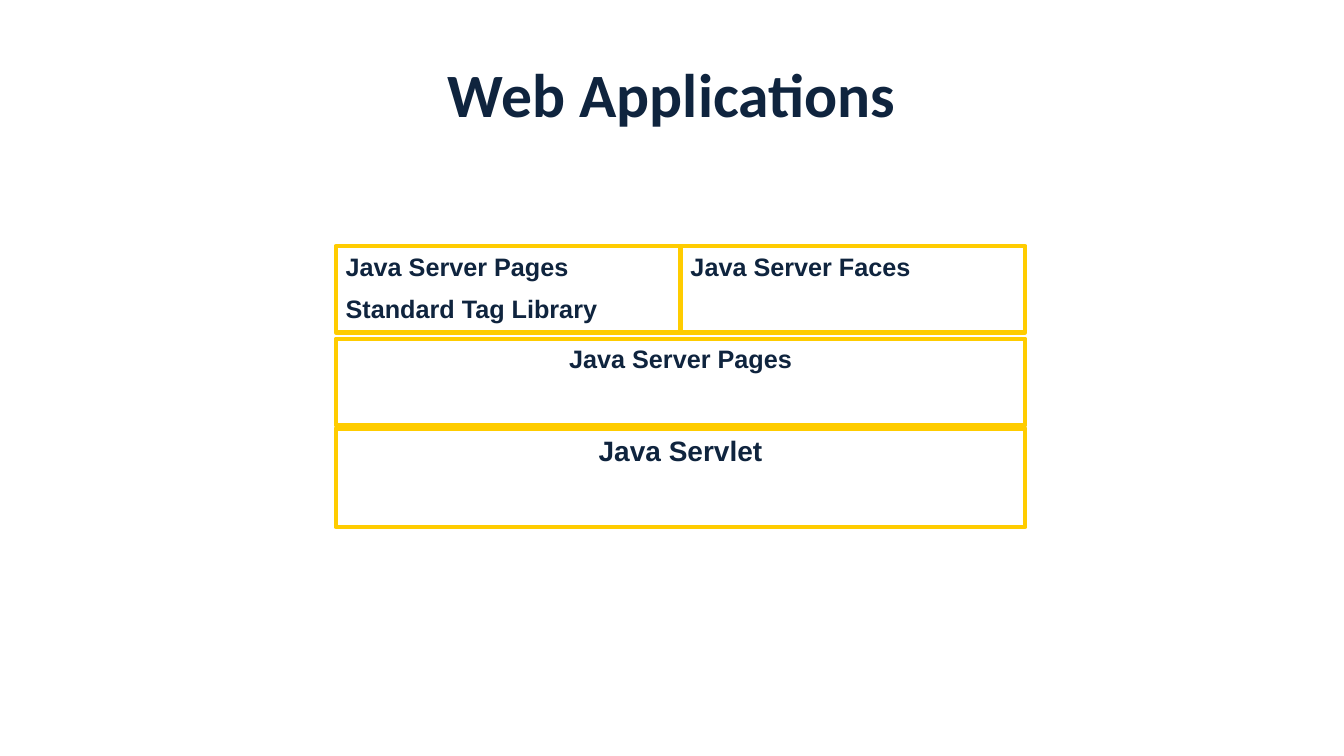
from dataclasses import dataclass
from typing import Any

from pptx import Presentation
from pptx.dml.color import RGBColor
from pptx.enum.shapes import MSO_SHAPE
from pptx.enum.text import MSO_ANCHOR, PP_ALIGN
from pptx.slide import Slide
from pptx.text.text import TextFrame
from pptx.util import Inches, Pt

RECTANGLE = MSO_SHAPE.RECTANGLE
TOP, MIDDLE = MSO_ANCHOR.TOP, MSO_ANCHOR.MIDDLE
LEFT, CENTER = PP_ALIGN.LEFT, PP_ALIGN.CENTER

NAVY = RGBColor(0x0F, 0x24, 0x3E)
GOLD = RGBColor(0xFF, 0xCC, 0x00)
WHITE = RGBColor(0xFF, 0xFF, 0xFF)

SLIDE_WIDTH, SLIDE_HEIGHT = 13.33, 7.5
STACK_LEFT = 3.33
COLUMN_WIDTH = 3.42


@dataclass(frozen=True)
class Row:
    top: float
    height: float


TAG_ROW = Row(2.44, 0.86)
PAGES_ROW = Row(3.36, 0.86)
SERVLET_ROW = Row(4.25, 0.98)


@dataclass(frozen=True)
class Technology:
    lines: tuple[str, ...]
    row: Row
    column: int = 0
    span: int = 1
    align: PP_ALIGN = LEFT
    size: int = 18


TECHNOLOGIES = (
    Technology(("Java Server Faces",), TAG_ROW, column=1),
    Technology(("Java Server Pages", "Standard Tag Library"), TAG_ROW),
    Technology(("Java Server Pages",), PAGES_ROW, span=2, align=CENTER),
    Technology(("Java Servlet",), SERVLET_ROW, span=2, align=CENTER, size=20),
)


def apply_format(target: Any, values: dict[str, Any]) -> None:
    for attribute, value in values.items():
        setattr(target, attribute, value)


def write(frame: TextFrame, lines: tuple[str, ...], font_name: str, size: int,
          align: PP_ALIGN, anchor: MSO_ANCHOR, space_before: float = 0) -> None:
    apply_format(frame, {"word_wrap": True, "vertical_anchor": anchor})
    frame.text = "\n".join(lines)
    for paragraph in frame.paragraphs:
        apply_format(paragraph, {"alignment": align, "space_before": Pt(space_before)})
        font = paragraph.runs[0].font
        apply_format(font, {"name": font_name, "size": Pt(size), "bold": True})
        font.color.rgb = NAVY


def draw_title(slide: Slide, title: str) -> None:
    heading = slide.shapes.add_textbox(
        Inches(SLIDE_WIDTH * 0.05), Inches(SLIDE_HEIGHT * 0.04),
        Inches(SLIDE_WIDTH * 0.9), Inches(SLIDE_HEIGHT / 6))
    write(heading.text_frame, (title,), "Calibri", 44, CENTER, MIDDLE)


def draw_technology(slide: Slide, technology: Technology) -> None:
    box = slide.shapes.add_shape(
        RECTANGLE,
        Inches(STACK_LEFT + technology.column * COLUMN_WIDTH), Inches(technology.row.top),
        Inches(technology.span * COLUMN_WIDTH), Inches(technology.row.height))
    box.shadow.inherit = False
    box.fill.background()
    box.line.color.rgb = GOLD
    box.line.width = Pt(3)
    write(box.text_frame, technology.lines, "Arial", technology.size,
          technology.align, TOP, space_before=technology.size / 2)


def main() -> None:
    presentation = Presentation()
    apply_format(presentation, {"slide_width": Inches(SLIDE_WIDTH),
                                "slide_height": Inches(SLIDE_HEIGHT)})
    slide = presentation.slides.add_slide(presentation.slide_layouts[6])
    slide.background.fill.solid()
    slide.background.fill.fore_color.rgb = WHITE
    draw_title(slide, "Web Applications")
    for technology in TECHNOLOGIES:
        draw_technology(slide, technology)
    presentation.save("out.pptx")


if __name__ == "__main__":
    main()
